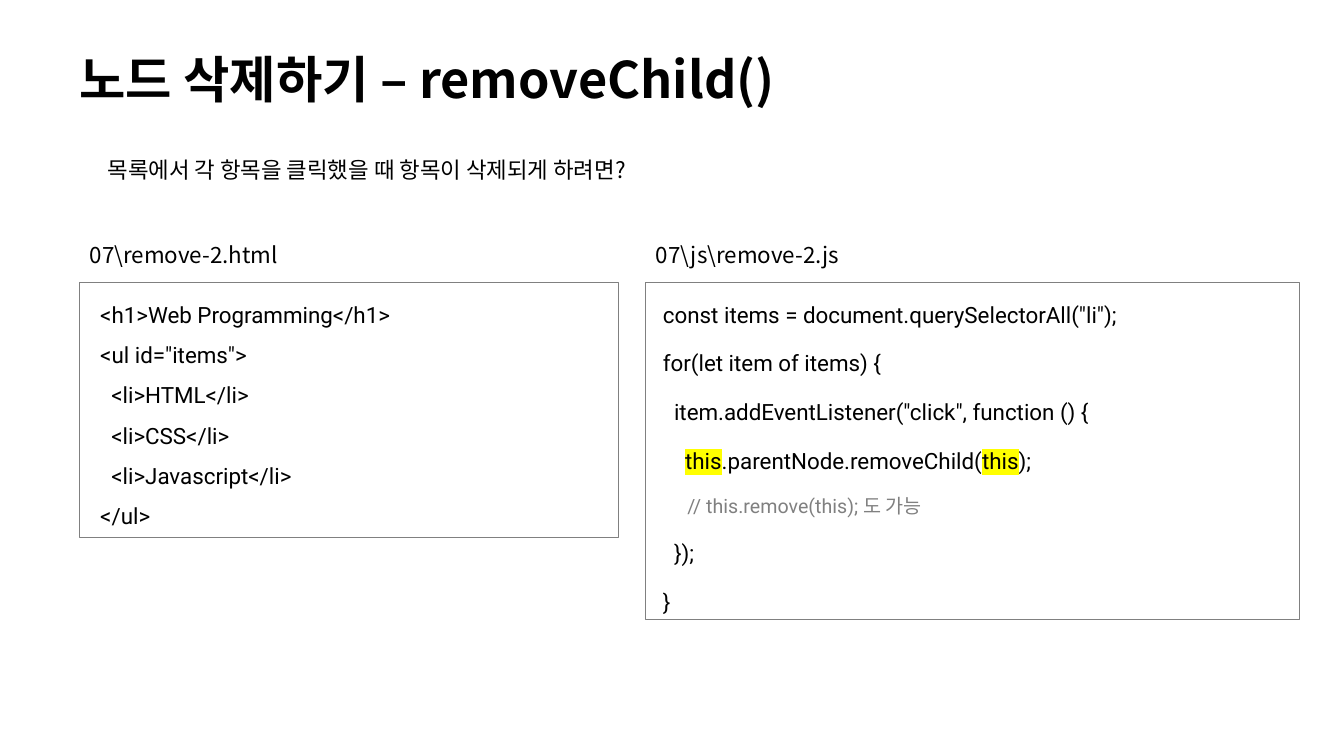
from lxml.etree import SubElement
from pptx import Presentation
from pptx.dml.color import RGBColor
from pptx.enum.shapes import MSO_SHAPE
from pptx.enum.text import MSO_ANCHOR, MSO_AUTO_SIZE, PP_ALIGN
from pptx.oxml import parse_xml
from pptx.oxml.ns import nsdecls, qn
from pptx.util import Emu, Pt

KOREAN_FONT = "Noto Sans CJK KR"
CODE_FONT = "Roboto"
BLACK, GRAY, YELLOW = "000000", "808080", "FFFF00"
LABEL_HEIGHT = 35
LABEL_TO_CODE = 44

HTML_CODE = [
    '<h1>Web Programming</h1>',
    '<ul id="items">',
    '  <li>HTML</li>',
    '  <li>CSS</li>',
    '  <li>Javascript</li>',
    '</ul>',
]
THIS = ("this", {"highlight": YELLOW})
JS_CODE = [
    'const items = document.querySelectorAll("li");',
    'for(let item of items) {',
    '  item.addEventListener("click", function () {',
    ["    ", THIS, ".parentNode.removeChild(", THIS, ");"],
    [("     // this.remove(this); 도 가능", {"size": 14, "color": GRAY})],
    '  });',
    '}',
]


def px(length):
    return Emu(length * 9525)


def rgb(color):
    return RGBColor.from_string(color)


def format_run(run, font=KOREAN_FONT, size=16, color=BLACK, bold=False, highlight=None):
    run.font.size = Pt(size)
    run.font.bold = bold
    run.font.color.rgb = rgb(color)
    run.font.name = font
    properties = run.font._element
    if highlight:
        mark = parse_xml(f'<a:highlight {nsdecls("a")}><a:srgbClr val="{highlight}"/></a:highlight>')
        properties.find(qn("a:solidFill")).addnext(mark)
    SubElement(properties, qn("a:ea")).set("typeface", KOREAN_FONT)


def write_text(shape, lines, anchor=MSO_ANCHOR.TOP, line_spacing=1.0, gap=0, indent=0, **style):
    """Each line is a string or a list of runs; a run may carry its own format."""
    frame = shape.text_frame
    frame.word_wrap = True
    frame.auto_size = MSO_AUTO_SIZE.NONE
    frame.vertical_anchor = anchor
    for index, line in enumerate(lines):
        paragraph = frame.add_paragraph() if index else frame.paragraphs[0]
        paragraph.alignment = PP_ALIGN.LEFT
        paragraph.line_spacing = line_spacing
        paragraph.space_before = Pt(gap if index else 0)
        paragraph.space_after = Pt(gap)
        if indent:
            paragraph._p.get_or_add_pPr().set("marL", str(px(indent)))
        for part in [line] if isinstance(line, str) else line:
            text, own_style = (part, {}) if isinstance(part, str) else part
            run = paragraph.add_run()
            run.text = text
            format_run(run, **{**style, **own_style})


def add_title(slide, left, top, width, height, text):
    title = slide.shapes.title
    title.left, title.top, title.width, title.height = map(px, (left, top, width, height))
    write_text(title, [text], anchor=MSO_ANCHOR.MIDDLE, line_spacing=0.9, size=36, bold=True)


def add_label(slide, left, top, width, text):
    label = slide.shapes.add_textbox(*map(px, (left, top, width, LABEL_HEIGHT)))
    write_text(label, [text])


def add_code_panel(slide, left, top, width, height, file_name, code, **spacing):
    """File name above a framed listing."""
    add_label(slide, left, top, 290, file_name)
    frame = slide.shapes.add_shape(
        MSO_SHAPE.RECTANGLE, *map(px, (left, top + LABEL_TO_CODE, width, height)))
    frame.shadow.inherit = False
    frame.fill.background()
    frame.line.color.rgb = rgb(GRAY)
    frame.line.width = Pt(0.75)
    write_text(frame, code, font=CODE_FONT, line_spacing=1.5, **spacing)


def main():
    presentation = Presentation()
    presentation.slide_width, presentation.slide_height = px(1280), px(720)
    slide = presentation.slides.add_slide(presentation.slide_layouts[5])

    # Title and question
    add_title(slide, 66, 34, 935, 88, "노드 삭제하기 – removeChild()")
    add_label(slide, 93, 144, 637, "목록에서 각 항목을 클릭했을 때 항목이 삭제되게 하려면?")

    # Code listings
    add_code_panel(slide, 76, 225, 513, 243, "07\\remove-2.html", HTML_CODE, indent=10)
    add_code_panel(slide, 615, 225, 623, 321, "07\\js\\remove-2.js", JS_CODE, indent=7, gap=3)

    presentation.save("out.pptx")


if __name__ == "__main__":
    main()
